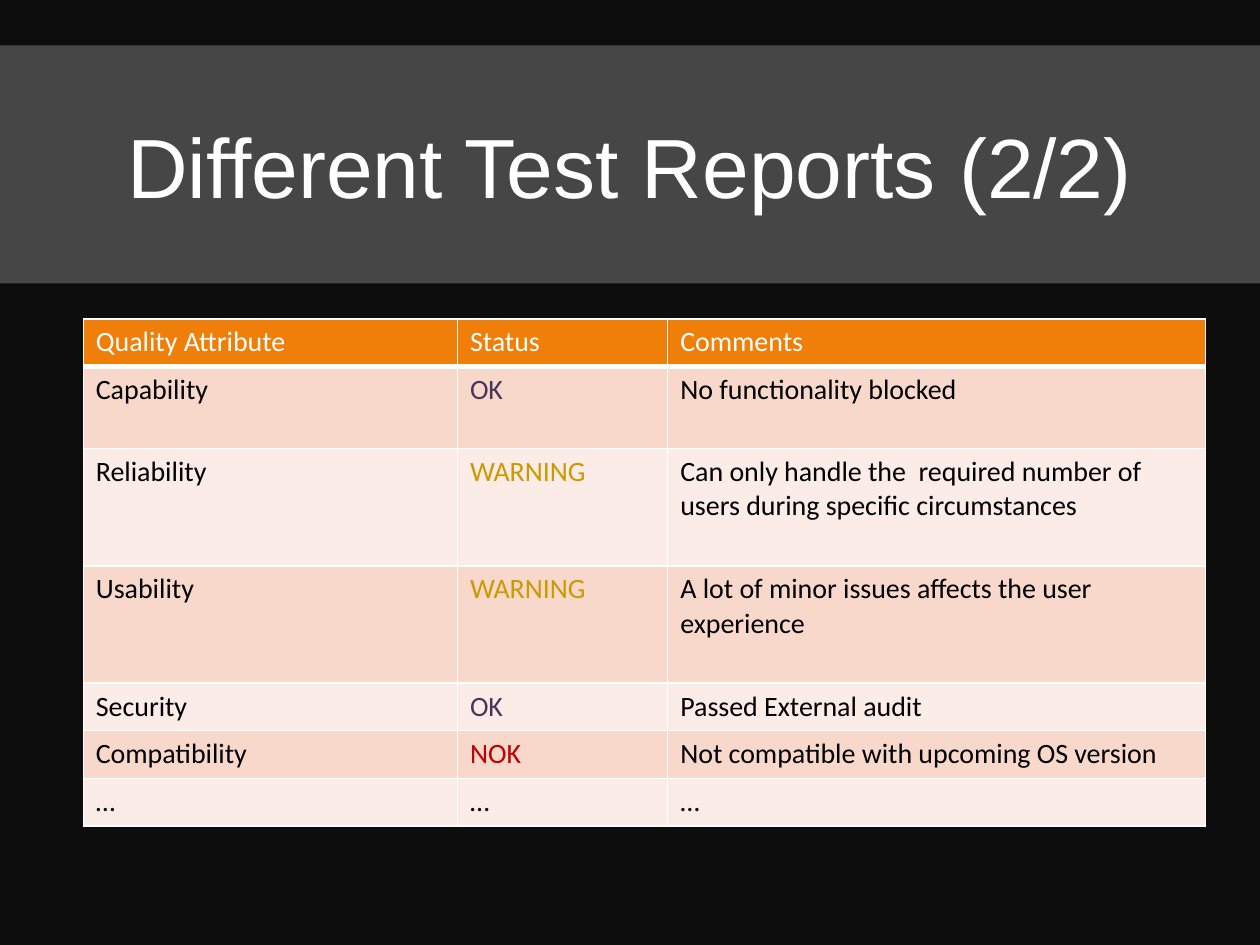
import dataclasses

import lxml.etree
import pptx
import pptx.dml.color
import pptx.enum.shapes
import pptx.enum.text
import pptx.oxml.ns
import pptx.util

Pt = pptx.util.Pt

COLORS = {
    "background": "0D0D0D",
    "band": "464646",
    "white": "FFFFFF",
    "header": "F07F09",
    "odd row": "F9D8CC",
    "even row": "FCECE7",
    "text": "000000",
    "OK": "48365A",
    "WARNING": "CC9900",
    "NOK": "C00000",
}
BAND = (Pt(0), Pt(26), Pt(720), Pt(136))
COLUMN_WIDTHS = (213.8, 120.2, 307.2)


@dataclasses.dataclass(frozen=True)
class ReportRow:
    attribute: str
    status: str
    comment: str
    height: float = 27.2


HEADER = ReportRow("Quality Attribute", "Status", "Comments")
RESULTS = (
    ReportRow("Capability", "OK", "No functionality blocked", 47),
    ReportRow("Reliability", "WARNING",
              "Can only handle the  required number of users during specific circumstances", 67),
    ReportRow("Usability", "WARNING", "A lot of minor issues affects the user experience", 67),
    ReportRow("Security", "OK", "Passed External audit"),
    ReportRow("Compatibility", "NOK", "Not compatible with upcoming OS version"),
    ReportRow("…", "…", "…"),
)


def color(name: str) -> pptx.dml.color.RGBColor:
    return pptx.dml.color.RGBColor.from_string(COLORS[name])


def paint(fill, name: str) -> None:
    fill.solid()
    fill.fore_color.rgb = color(name)


def format_text(frame, font: str, size: float, color_name: str) -> None:
    for para in frame.paragraphs:
        for span in para.runs:
            span.font.name = font
            span.font.size = Pt(size)
            span.font.bold = False
            span.font.color.rgb = color(color_name)


def add_borders(cell, bottom_width: float) -> None:
    """Draw white 1 pt edges, with a bottom edge of its own width."""
    name = pptx.oxml.ns.qn
    properties = cell._tc.get_or_add_tcPr()
    widths = {"a:lnL": 1, "a:lnR": 1, "a:lnT": 1, "a:lnB": bottom_width}
    for position, (edge, width) in enumerate(widths.items()):
        line = lxml.etree.Element(name(edge), w=str(Pt(width)))
        fill = lxml.etree.SubElement(line, name("a:solidFill"))
        lxml.etree.SubElement(fill, name("a:srgbClr"), val=COLORS["white"])
        properties.insert(position, line)


def add_title(page, text: str) -> None:
    band = page.shapes.add_shape(pptx.enum.shapes.MSO_SHAPE.RECTANGLE, *BAND)
    band.shadow.inherit = False
    paint(band.fill, "band")
    band.line.fill.background()

    title = page.shapes.title
    title.left, title.top, title.width, title.height = BAND
    title.text_frame.text = text
    title.text_frame.vertical_anchor = pptx.enum.text.MSO_ANCHOR.MIDDLE
    title.text_frame.paragraphs[0].alignment = pptx.enum.text.PP_ALIGN.CENTER
    format_text(title.text_frame, "Arial", 48, "white")
    band._element.addnext(title._element)  # bring the title in front of its band


def add_report(page, rows: tuple[ReportRow, ...]) -> None:
    table = page.shapes.add_table(
        len(rows), len(COLUMN_WIDTHS), Pt(47.6), Pt(182.2),
        Pt(sum(COLUMN_WIDTHS)), Pt(sum(row.height for row in rows)),
    ).table
    for column, width in zip(table.columns, COLUMN_WIDTHS):
        column.width = Pt(width)
    for index, row in enumerate(rows):
        table.rows[index].height = Pt(row.height)
        is_header = index == 0
        fill_name = "header" if is_header else "odd row" if index % 2 else "even row"
        for cell, text in zip(table.rows[index].cells, (row.attribute, row.status, row.comment)):
            cell.text_frame.text = text
            text_color = "white" if is_header else text if text in COLORS else "text"
            format_text(cell.text_frame, "Calibri", 16, text_color)
            paint(cell.fill, fill_name)
            add_borders(cell, 3 if is_header else 1)


def main() -> None:
    deck = pptx.Presentation()
    deck.slide_width, deck.slide_height = Pt(720), Pt(540)
    page = deck.slides.add_slide(deck.slide_layouts.get_by_name("Title Only"))
    paint(page.background.fill, "background")
    add_title(page, "Different Test Reports (2/2)")
    add_report(page, (HEADER, *RESULTS))
    deck.save("out.pptx")


if __name__ == "__main__":
    main()
